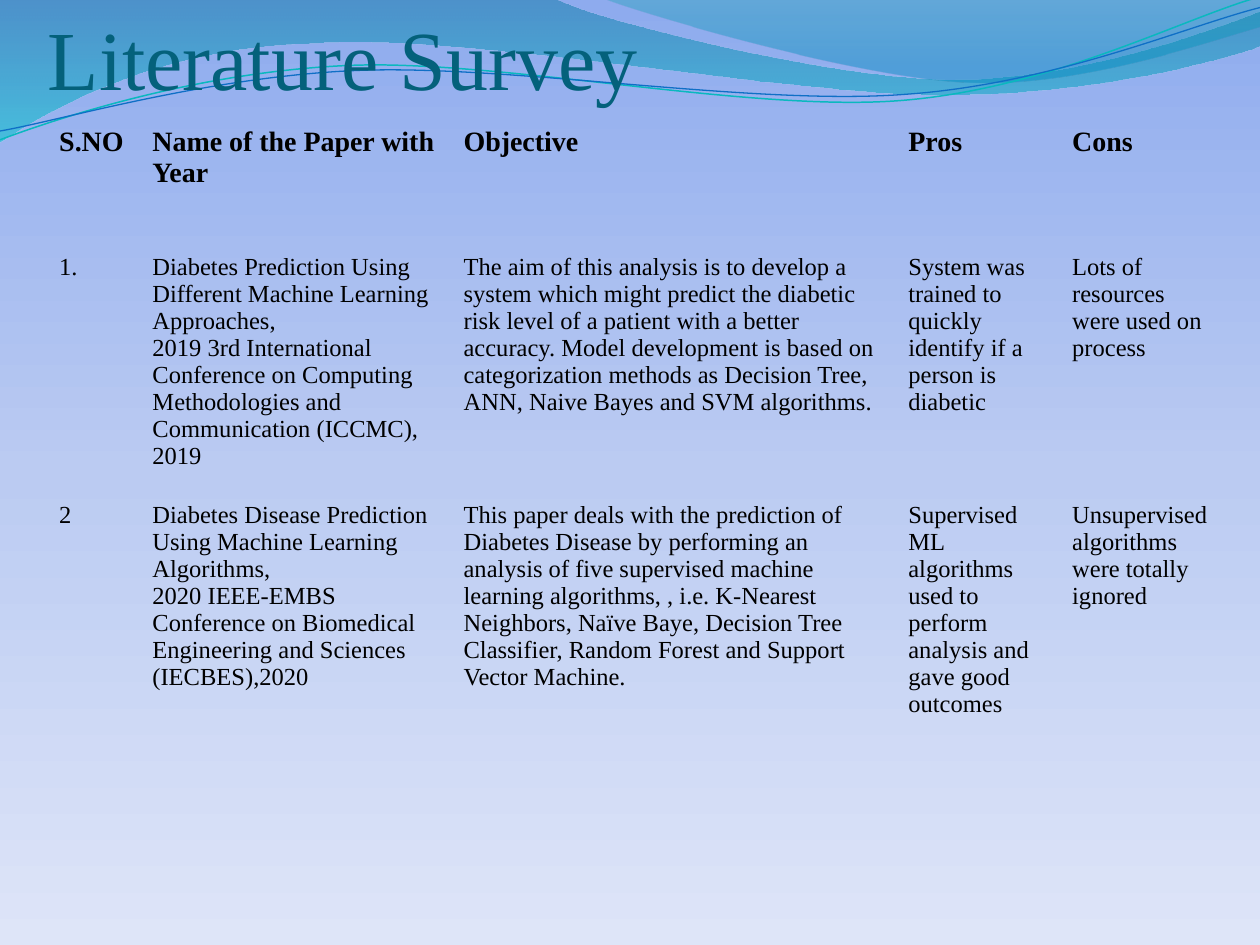
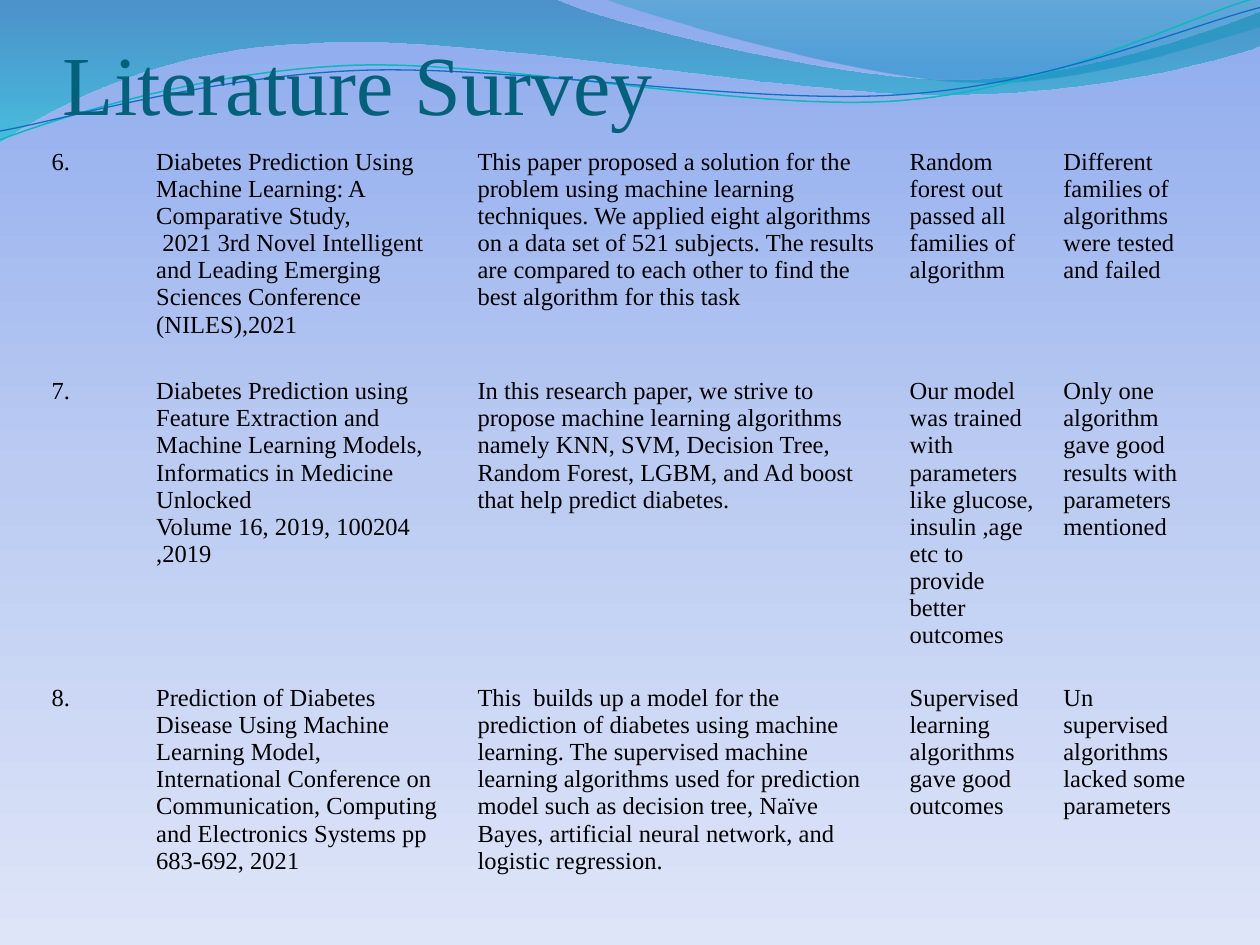
"""Build two literature survey slides with a shared wave header."""
from dataclasses import dataclass
from typing import NamedTuple

from lxml.etree import SubElement
from pptx import Presentation
from pptx.dml.color import RGBColor
from pptx.enum.text import MSO_ANCHOR
from pptx.oxml.ns import qn
from pptx.slide import Slide
from pptx.util import Inches, Pt

COLOURS = {
    "sky_top": "8EABEE", "sky_middle": "BBCBF2", "sky_bottom": "DEE5F8",
    "deep_blue": "0074A1", "aqua": "00C6CF", "teal": "00A1A9", "ocean": "008BBF",
    "teal_line": "0AB8BF", "blue_line": "0F6FC6",
    "title": "04617B", "body": "000000",
}
FONT = "Times New Roman"
NO_STYLE = "{2D5ABB26-0587-4C30-8999-92F81FD0307C}"


class Stop(NamedTuple):
    position: int
    colour: str
    opacity: int = 100


@dataclass(frozen=True)
class Wave:
    start: tuple[float, float]
    segments: list[tuple[float, ...]]
    stops: tuple[Stop, ...] = ()
    line_colour: str = ""
    line_width: float = 0


@dataclass(frozen=True)
class Survey:
    title_left: float
    title_bottom: float
    table_left: float
    table_top: float
    columns: list[float]
    heights: list[float]
    rows: list[list[str]]
    has_header: bool = False


SKY = (Stop(0, "sky_top"), Stop(50, "sky_middle"), Stop(100, "sky_bottom"))

WAVES = [
    Wave((0, 0), [
        (4.4, -0.01), (4.76, 0.17, 6.64, 0.63, 7.58, 0.63),
        (8.53, 0.63, 9.58, 0.26, 10, 0.09), (10.01, 0.36),
        (9.83, 0.44, 8.7, 0.76, 7.46, 0.75), (6.22, 0.75, 3.82, 0.28, 2.57, 0.34),
        (1.29, 0.36, 0.46, 0.83, -0.01, 1.13),
    ], (Stop(0, "deep_blue", 45), Stop(100, "aqua", 55))),
    Wave((4.79, -0.01), [
        (5.09, 0.11, 6.82, 0.62, 7.69, 0.65), (8.56, 0.69, 9.61, 0.32, 10, 0.21),
        (10, 0),
    ], (Stop(0, "teal", 30), Stop(80, "ocean", 45))),
    Wave((0, 1.11), [
        (0.48, 0.93, 1.58, 0.57, 2.77, 0.52), (3.95, 0.47, 5.93, 0.89, 7.13, 0.8),
        (8.33, 0.71, 9.38, 0.15, 9.98, -0.02),
    ], line_colour="teal_line", line_width=0.85),
    Wave((0, 1.04), [
        (0.47, 0.96, 1.64, 0.61, 2.83, 0.56), (4.03, 0.51, 5.97, 0.84, 7.17, 0.75),
        (8.36, 0.67, 9.41, 0.21, 10, 0.06),
    ], line_colour="blue_line", line_width=0.75),
]

SURVEYS = [
    Survey(
        0.38, 0.85, 0.37, 0.95, [0.74, 2.47, 3.53, 1.3, 1.28], [1.01, 1.75, 2.56],
        [
            ["S.NO", "Name of the Paper with Year", "Objective", "Pros", "Cons"],
            [
                "1.",
                "Diabetes Prediction Using Different Machine Learning Approaches,\n"
                "2019 3rd International Conference on Computing Methodologies and "
                "Communication (ICCMC),\n2019",
                "The aim of this analysis is to develop a system which might predict "
                "the diabetic risk level of a patient with a better accuracy. Model "
                "development is based on categorization methods as Decision Tree, "
                "ANN, Naive Bayes and SVM algorithms.",
                "System was trained to quickly identify if a person is diabetic",
                "Lots of resources were used on process",
            ],
            [
                "2",
                "Diabetes Disease Prediction Using Machine Learning Algorithms,\n"
                "2020 IEEE-EMBS Conference on Biomedical Engineering and Sciences "
                "(IECBES),2020",
                "This paper deals with the prediction of Diabetes Disease by "
                "performing an analysis of five supervised machine learning "
                "algorithms, , i.e. K-Nearest Neighbors, Naïve Baye, Decision Tree "
                "Classifier, Random Forest and Support Vector Machine.",
                "Supervised ML algorithms used to perform analysis and gave good "
                "outcomes",
                "Unsupervised algorithms were totally ignored",
            ],
        ],
        has_header=True,
    ),
    Survey(
        0.5, 1.05, 0.31, 1.13, [0.83, 2.55, 3.43, 1.22, 1.27], [1.82, 2.28, 1.88],
        [
            [
                "6.",
                "Diabetes Prediction Using Machine Learning: A Comparative Study,\n"
                " 2021 3rd Novel Intelligent and Leading Emerging Sciences "
                "Conference (NILES),2021",
                "This paper proposed a solution for the problem using machine "
                "learning techniques. We applied eight algorithms on a data set of "
                "521 subjects. The results are compared to each other to find the "
                "best algorithm for this task",
                "Random forest out passed all families of algorithm",
                "Different families of algorithms were tested and failed",
            ],
            [
                "7.",
                "Diabetes Prediction using Feature Extraction and Machine Learning "
                "Models,\nInformatics in Medicine Unlocked\n"
                "Volume 16, 2019, 100204\n,2019",
                "In this research paper, we strive to propose machine learning "
                "algorithms namely KNN, SVM, Decision Tree, Random Forest, LGBM, and "
                "Ad boost that help predict diabetes.",
                "Our model was trained with parameters like glucose, insulin ,age "
                "etc to provide better outcomes",
                "Only one algorithm gave good results with parameters mentioned",
            ],
            [
                "8.",
                "Prediction of Diabetes Disease Using Machine Learning Model,\n"
                "International Conference on Communication, Computing and "
                "Electronics Systems pp 683-692, 2021",
                "This  builds up a model for the prediction of diabetes using "
                "machine learning. The supervised machine learning algorithms used "
                "for prediction model such as decision tree, Naïve Bayes, artificial "
                "neural network, and logistic regression.",
                "Supervised learning algorithms gave good outcomes",
                "Un supervised algorithms lacked some parameters",
            ],
        ],
    ),
]


def rgb(colour: str) -> RGBColor:
    """Look up a named colour."""
    return RGBColor.from_string(COLOURS[colour])


def apply_format(target: object, values: dict) -> None:
    """Set each attribute of the target from the format values."""
    for attribute, value in values.items():
        setattr(target, attribute, value)


def paint_gradient(owner, fill, stops: tuple[Stop, ...]) -> None:
    """Give the owner a top-to-bottom gradient with the given stops."""
    fill.gradient()
    fill.gradient_angle = 270
    stop_list = owner._element.find(".//" + qn("a:gsLst"))
    for old_stop in list(stop_list):
        stop_list.remove(old_stop)
    for stop in stops:
        entry = SubElement(stop_list, qn("a:gs"), pos=str(stop.position * 1000))
        colour = SubElement(entry, qn("a:srgbClr"), val=COLOURS[stop.colour])
        if stop.opacity < 100:
            SubElement(colour, qn("a:alpha"), val=str(stop.opacity * 1000))


def bend(shape, segments: list[tuple[float, ...]]) -> None:
    """Turn the outline's sides into cubic curves where control points are given."""
    sides = shape._element.findall(".//" + qn("a:lnTo"))
    for side, segment in zip(sides, segments):
        if len(segment) == 2:
            continue
        side.tag = qn("a:cubicBezTo")
        controls = zip(segment[0:4:2], segment[1:4:2])
        for index, (x, y) in enumerate(controls):
            point = SubElement(
                side, qn("a:pt"),
                x=str(Inches(x) - shape.left), y=str(Inches(y) - shape.top),
            )
            side.insert(index, point)


def draw_wave(slide: Slide, wave: Wave) -> None:
    """Draw a filled band or a thin wave line."""
    builder = slide.shapes.build_freeform(*map(Inches, wave.start))
    corners = [(Inches(segment[-2]), Inches(segment[-1])) for segment in wave.segments]
    builder.add_line_segments(corners, close=bool(wave.stops))
    shape = builder.convert_to_shape()
    bend(shape, wave.segments)
    shape.shadow.inherit = False
    if wave.stops:
        paint_gradient(shape, shape.fill, wave.stops)
        shape.line.fill.background()
    else:
        shape.fill.background()
        shape.line.color.rgb = rgb(wave.line_colour)
        shape.line.width = Pt(wave.line_width)


def write_text(frame, text: str, colour: str, size: int, bold: bool = False) -> None:
    """Write the text, one paragraph a line, in the shared font."""
    frame.text = text
    for paragraph in frame.paragraphs:
        for run in paragraph.runs:
            apply_format(run.font, {"name": FONT, "size": Pt(size), "bold": bold})
            run.font.color.rgb = rgb(colour)
        ending = SubElement(paragraph._p, qn("a:endParaRPr"), sz=str(size * 100))
        SubElement(ending, qn("a:latin"), typeface=FONT)


def draw_title(slide: Slide, survey: Survey) -> None:
    """Write the slide title above the table."""
    height = 1.05
    box = slide.shapes.add_textbox(
        Inches(survey.title_left), Inches(survey.title_bottom - height),
        Inches(9), Inches(height),
    )
    apply_format(box.text_frame, {
        "word_wrap": True, "vertical_anchor": MSO_ANCHOR.BOTTOM,
        "margin_left": 0, "margin_right": 0,
        "margin_top": Inches(0.05), "margin_bottom": 0,
    })
    write_text(box.text_frame, "Literature Survey", "title", 48)


def draw_papers(slide: Slide, survey: Survey) -> None:
    """Lay the surveyed papers out in a table without fills or borders."""
    frame = slide.shapes.add_table(
        len(survey.rows), len(survey.columns),
        Inches(survey.table_left), Inches(survey.table_top),
        Inches(sum(survey.columns)), Inches(sum(survey.heights)),
    )
    papers = frame.table
    apply_format(papers, {"first_row": survey.has_header, "horz_banding": False})
    frame._element.find(".//" + qn("a:tableStyleId")).text = NO_STYLE
    for column, width in zip(papers.columns, survey.columns):
        column.width = Inches(width)
    for index, (row, height) in enumerate(zip(papers.rows, survey.heights)):
        row.height = Inches(height)
        is_header = survey.has_header and index == 0
        size = 16 if is_header else 14
        for cell, text in zip(row.cells, survey.rows[index]):
            cell.fill.background()
            write_text(cell.text_frame, text, "body", size, is_header)


def main() -> None:
    """Build and save the presentation."""
    deck = Presentation()
    apply_format(deck, {"slide_width": Inches(10), "slide_height": Inches(7.5)})
    for survey in SURVEYS:
        slide = deck.slides.add_slide(deck.slide_layouts[6])
        paint_gradient(slide, slide.background.fill, SKY)
        for wave in WAVES:
            draw_wave(slide, wave)
        draw_title(slide, survey)
        draw_papers(slide, survey)
    deck.save("out.pptx")


if __name__ == "__main__":
    main()
